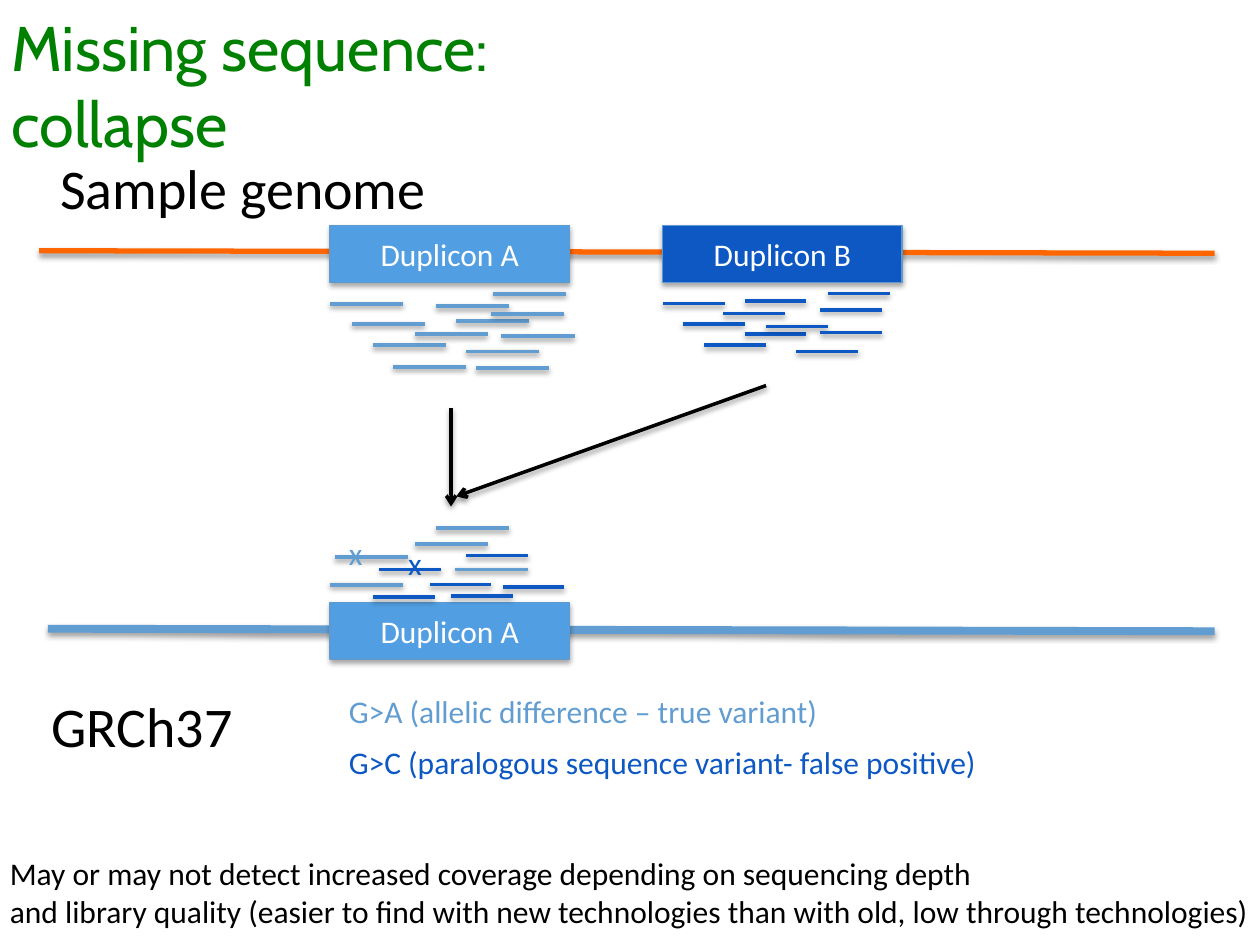
import pptx
import pptx.util
import pptx.dml.color
import pptx.enum.shapes
import pptx.enum.text
import pptx.oxml
import pptx.oxml.ns

Inches = pptx.util.Inches
Pt = pptx.util.Pt
RGBColor = pptx.dml.color.RGBColor
Align = pptx.enum.text.PP_ALIGN
Anchor = pptx.enum.text.MSO_ANCHOR

BLACK = RGBColor(0x00, 0x00, 0x00)
WHITE = RGBColor(0xFF, 0xFF, 0xFF)
GREEN = RGBColor(0x00, 0x80, 0x00)
ORANGE = RGBColor(0xFF, 0x66, 0x00)
READ_A = RGBColor(0x62, 0x9D, 0xD1)
FILL_A = RGBColor(0x51, 0x9E, 0xE2)
BLUE_B = RGBColor(0x0E, 0x58, 0xC4)
OUTLINE = RGBColor(0x5D, 0x9A, 0xCF)

# Content
TITLE = "Missing sequence: collapse"
TEXTS = [  # text, (left, top, width, height), size, colour
    ("GRCh37", (0.31, 5.44, 1.66, 0.64), 32, BLACK),
    ("Sample genome", (0.38, 1.17, 3.13, 0.64), 32, BLACK),
    ("May or may not detect increased coverage depending on sequencing depth\n"
     "and library quality (easier to find with new technologies than with old, "
     "low through technologies)", (-0.02, 6.73, 10.14, 0.71), 18, BLACK),
    ("x", (2.67, 4.19, 0.31, 0.4), 18, READ_A),
    ("x", (3.14, 4.27, 0.31, 0.4), 18, BLUE_B),
    ("G>A (allelic difference – true variant)", (2.67, 5.44, 3.97, 0.4), 18, READ_A),
    ("G>C (paralogous sequence variant- false positive)",
     (2.67, 5.85, 5.27, 0.4), 18, BLUE_B),
]
GENOMES = [  # start, end, colour, weight
    ((0.38, 4.99), (9.64, 5.01), READ_A, 4.5),
    ((0.31, 1.99), (9.64, 2.01), ORANGE, 3),
]
DUPLICONS = [  # label, left, top, fill
    ("Duplicon A", 2.62, 1.79, FILL_A),
    ("Duplicon B", 5.26, 1.79, BLUE_B),
    ("Duplicon A", 2.62, 4.78, FILL_A),
]
DUPLICON_SIZE = (1.9, 0.45)
# Left end and height of each read: sample reads first, then collapsed ones
READS_A = [
    (2.62, 2.41), (2.79, 2.57), (2.96, 2.74), (3.12, 2.91), (3.29, 2.65),
    (3.46, 2.43), (3.62, 2.55), (3.7, 2.79), (3.78, 2.92), (3.98, 2.67),
    (3.91, 2.33), (3.9, 2.49),
    (2.62, 4.64), (3.61, 4.52), (2.66, 4.42), (3.29, 4.32), (3.46, 4.19),
]
READS_B = [
    (5.26, 2.41), (5.42, 2.57), (5.59, 2.74), (5.91, 2.65), (5.74, 2.49),
    (5.91, 2.39), (6.08, 2.59), (6.32, 2.79), (6.51, 2.46), (6.57, 2.33),
    (6.51, 2.64),
    (3.99, 4.66), (3.01, 4.52), (3.41, 4.64), (2.96, 4.74), (3.7, 4.41),
    (3.58, 4.73),
]
READ_STYLES = [  # reads, length, colour, weight
    (READS_A, 0.58, READ_A, 2.25),
    (READS_B, 0.49, BLUE_B, 2),
]
ARROWS = [((3.58, 3.24), (3.58, 4.02)), ((6.08, 3.06), (3.62, 3.94))]


def write(shape, text, size=18, color=BLACK, font="Calibri", align=Align.LEFT,
          anchor=Anchor.TOP, wrap=False):
    frame = shape.text_frame
    frame.word_wrap = wrap
    frame.vertical_anchor = anchor
    para = frame.paragraphs[0]
    para.text = text
    para.alignment = align
    for span in para.runs:
        span.font.name = font
        span.font.size = Pt(size)
        span.font.color.rgb = color


def cast_shadow(shape, distance, opacity):
    """Add a soft shadow straight below; call once fill and line are set."""
    shape._element.spPr.append(pptx.oxml.parse_xml(
        f'<a:effectLst {pptx.oxml.ns.nsdecls("a")}>'
        f'<a:outerShdw blurRad="{Pt(3.1)}" dist="{Pt(distance)}" dir="5400000" '
        'rotWithShape="0"><a:srgbClr val="000000">'
        f'<a:alpha val="{opacity * 1000}"/></a:srgbClr></a:outerShdw></a:effectLst>'))


def add_line(page, start, end, color, weight, arrow=False):
    line = page.shapes.add_connector(
        pptx.enum.shapes.MSO_CONNECTOR.STRAIGHT,
        *[Inches(value) for value in (*start, *end)])
    line.line.color.rgb = color
    line.line.width = Pt(weight)
    if arrow:
        line.line._get_or_add_ln().append(pptx.oxml.parse_xml(
            f'<a:tailEnd {pptx.oxml.ns.nsdecls("a")} type="arrow"/>'))
    cast_shadow(line, 1.6, 38)


def add_duplicon(page, label, left, top, fill):
    box = page.shapes.add_shape(
        pptx.enum.shapes.MSO_SHAPE.RECTANGLE,
        *[Inches(value) for value in (left, top, *DUPLICON_SIZE)])
    box.fill.solid()
    box.fill.fore_color.rgb = fill
    box.line.color.rgb = OUTLINE
    box.line.width = Pt(0.75)
    cast_shadow(box, 1.8, 35)
    write(box, label, color=WHITE, align=Align.CENTER, anchor=Anchor.MIDDLE, wrap=True)


def main():
    deck = pptx.Presentation()
    deck.slide_width, deck.slide_height = Inches(10), Inches(7.5)
    page = deck.slides.add_slide(deck.slide_layouts[5])

    # Title, narrowed on the right so that it breaks into two lines
    title = page.shapes.title
    title.left, title.top = Inches(-0.01), Inches(0.02)
    title.width, title.height = Inches(5.8), Inches(0.71)
    title.text_frame.auto_size = pptx.enum.text.MSO_AUTO_SIZE.NONE
    title.text_frame.margin_right = Inches(0.4)
    write(title, TITLE, size=36, color=GREEN, font="Cabin", wrap=True)

    # Genomes and duplicons
    for start, end, color, weight in GENOMES:
        add_line(page, start, end, color, weight)
    for duplicon in DUPLICONS:
        add_duplicon(page, *duplicon)

    # Reads
    for reads, length, color, weight in READ_STYLES:
        for left, height in reads:
            add_line(page, (left, height), (left + length, height), color, weight)

    # Arrows from both sample duplicons to the collapsed one
    for start, end in ARROWS:
        add_line(page, start, end, BLACK, 2, arrow=True)

    # Labels and notes
    for text, place, size, color in TEXTS:
        box = page.shapes.add_textbox(*[Inches(value) for value in place])
        write(box, text, size=size, color=color)

    deck.save("out.pptx")


if __name__ == "__main__":
    main()
